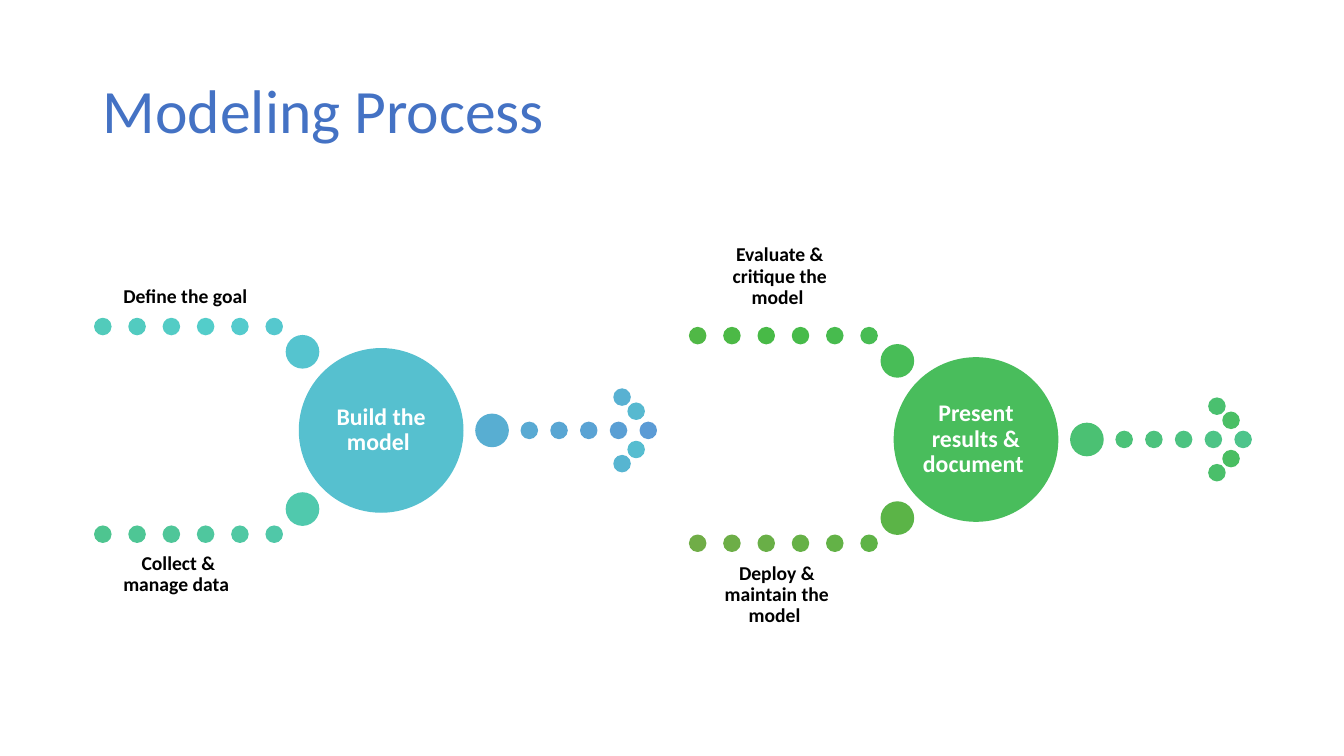
from pptx import Presentation
from pptx.dml.color import RGBColor
from pptx.enum.shapes import MSO_SHAPE
from pptx.enum.text import MSO_ANCHOR, PP_ALIGN
from pptx.util import Inches, Pt

TITLE = "Modeling Process"
SMALL, LARGE, HUB = 0.16, 0.32, 1.62
STEP, PITCH, ARM = 0.34, 0.295, 1.03
STAGES = [
    {
        "start": (1.01, 4.27),
        "shaft": "5B9BD5 5A9FD4 5AA3D4 59A6D3 59AAD3 58AED2",
        "head": "58B1D2 57B5D1 57B9D0 56BDD0",
        "hub": "56C0CF",
        "arms": ["55C4CF 55C8CE 54CBCD 53CDCA 53CCC5 52CBC0 52CBBB",
                 "50C9AD 50C8A8 50C8A3 4FC79E 4FC699 4EC695 4EC590"],
        "name": "Build the model\u00a0",
        "labels": [("Define the goal\u00a0", (0.92, 2.64, 1.88, 0.41)),
                   ("Collect & manage data\u00a0", (1.14, 5.22, 1.26, 0.69))],
    },
    {
        "start": (6.91, 4.36),
        "shaft": "4DC48B 4DC486 4CC381 4CC27D 4BC278 4BC173",
        "head": "4AC06F 4ABF6A 4ABF65 49BE61",
        "hub": "49BD5C",
        "arms": ["48BD57 48BC53 47BB4E 47BB4A 48BA47 4CB946 50B846",
                 "5BB447 5FB347 63B247 66B147 69AF47 6DAE47 70AD47"],
        "name": "Present results & document\u00a0",
        "labels": [("Evaluate & critique the model\u00a0", (7.17, 2.24, 1.13, 0.82)),
                   ("Deploy & maintain the model\u00a0", (7.04, 5.44, 1.33, 0.78))],
    },
]
SHAFT = [(5.42 - PITCH * i, 0) for i in range(5)]
HEAD = [(5.16, -0.33), (5.16, 0.33), (5.3, -0.19), (5.3, 0.19)]
ROW = [1.71 - STEP * i for i in range(6)]
KNOT, NECK, CORE = (1.99, 0.78), 3.87, 2.77


def paint(code):
    return RGBColor.from_string(code)


def style(frame, text, size, code, bold, anchor, inset):
    frame.word_wrap = True
    frame.vertical_anchor = anchor
    frame.margin_left = frame.margin_right = Inches(inset)
    frame.margin_top = frame.margin_bottom = Inches(inset)
    par = frame.paragraphs[0]
    par.text = text
    par.line_spacing = 0.9
    par.font.name = "Calibri"
    par.font.size = Pt(size)
    par.font.bold = bold
    par.font.color.rgb = paint(code)
    return par


def label(text, box, size, code, anchor, inset):
    item = slide.shapes.add_textbox(*map(Inches, box))
    par = style(item.text_frame, text, size, code, True, anchor, inset)
    par.alignment = PP_ALIGN.CENTER


def dot(start, spot, size, code):
    left, top = (a + b - size / 2 for a, b in zip(start, spot))
    item = slide.shapes.add_shape(
        MSO_SHAPE.OVAL, *map(Inches, (left, top, size, size)))
    item.shadow.inherit = False
    item.fill.solid()
    item.fill.fore_color.rgb = paint(code)
    item.line.color.rgb = paint(code)
    item.line.width = Pt(1)


def draw(stage):
    start = stage["start"]
    *shaft, neck = stage["shaft"].split()
    for spot, code in zip(SHAFT + HEAD, shaft + stage["head"].split()):
        dot(start, spot, SMALL, code)
    dot(start, (NECK, 0), LARGE, neck)
    dot(start, (CORE, 0), HUB, stage["hub"])
    side = 1.15
    box = (start[0] + CORE - side / 2, start[1] - side / 2, side, side)
    label(stage["name"], box, 17, "FFFFFF", MSO_ANCHOR.MIDDLE, 0.02)
    for sign, arm, (text, box) in zip((-1, 1), stage["arms"], stage["labels"]):
        knot, *row = arm.split()
        dot(start, (KNOT[0], sign * KNOT[1]), LARGE, knot)
        for left, code in zip(ROW, row):
            dot(start, (left, sign * ARM), SMALL, code)
        label(text, box, 14, "000000", MSO_ANCHOR.BOTTOM, 0)


deck = Presentation()
deck.slide_width, deck.slide_height = Inches(13.33), Inches(7.5)
slide = deck.slides.add_slide(deck.slide_layouts[5])
title = slide.shapes.title
title.left, title.top, title.width, title.height = map(
    Inches, (0.92, 0.4, 11.5, 1.45))
head = style(title.text_frame, TITLE, 44, "4472C4", False, MSO_ANCHOR.MIDDLE, 0.1)
head.alignment = PP_ALIGN.LEFT
for stage in STAGES:
    draw(stage)
deck.save("out.pptx")
